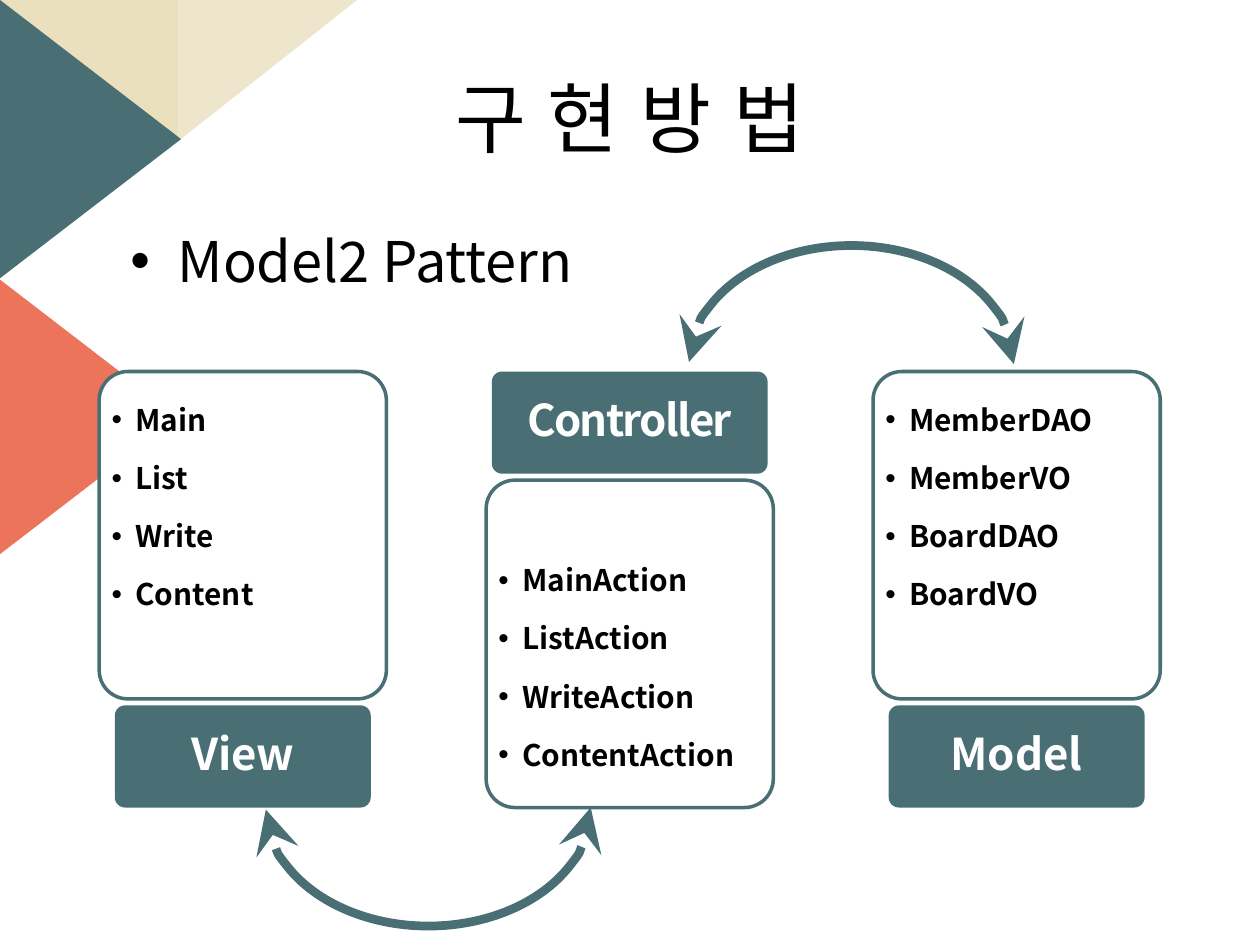
import pptx
import pptx.util
import pptx.dml.color
import pptx.enum.shapes
import pptx.enum.text
import pptx.oxml.ns
from lxml import etree

Cm = pptx.util.Cm
Pt = pptx.util.Pt
RGBColor = pptx.dml.color.RGBColor
SHAPE = pptx.enum.shapes.MSO_SHAPE
ALIGN = pptx.enum.text.PP_ALIGN
ANCHOR = pptx.enum.text.MSO_ANCHOR
qn = pptx.oxml.ns.qn

FONT = "Noto Sans CJK KR"
TEAL = RGBColor(0x49, 0x6F, 0x74)
CORAL = RGBColor(0xEC, 0x74, 0x5B)
SAND = RGBColor(0xEA, 0xE0, 0xBE)
PALE_SAND = RGBColor(0xEE, 0xE6, 0xCC)
WHITE = RGBColor(0xFF, 0xFF, 0xFF)
BLACK = RGBColor(0, 0, 0)

CARD_WIDTH, CARD_HEIGHT = 5.79, 6.6
LABEL_HEIGHT, LABEL_GAP = 2.06, 0.13
COLUMN_LEFT, COLUMN_TOP, COLUMN_STEP = 2, 7.49, 7.8


def add_panel(slide, kind, left, top, width, height, fill=None, line=None, line_width=0):
    panel = slide.shapes.add_shape(kind, Cm(left), Cm(top), Cm(width), Cm(height))
    panel.shadow.inherit = False
    if fill is None:
        panel.fill.background()
    else:
        panel.fill.solid()
        panel.fill.fore_color.rgb = fill
    if line is None:
        panel.line.fill.background()
    else:
        panel.line.color.rgb = line
        panel.line.width = Pt(line_width)
    return panel


def add_frame(slide, left, top, width, height, margin=None):
    frame = slide.shapes.add_textbox(Cm(left), Cm(top), Cm(width), Cm(height)).text_frame
    frame.word_wrap = True
    if margin is not None:
        frame.margin_left = frame.margin_right = Cm(margin)
        frame.margin_top = frame.margin_bottom = Cm(margin)
    return frame


def write(paragraph, text, size, color, bold=False, tracking=None):
    paragraph.text = text
    font = paragraph.font
    font.name, font.size, font.bold = FONT, Pt(size), bold
    font.color.rgb = color
    properties = paragraph._p.pPr.find(qn("a:defRPr"))
    east_asian = etree.Element(qn("a:ea"), typeface=FONT)
    properties.find(qn("a:latin")).addnext(east_asian)
    if tracking is not None:
        paragraph.runs[0].font._element.set("spc", str(tracking))


def add_bullet(paragraph, indent):
    properties = paragraph._p.get_or_add_pPr()
    properties.set("marL", str(Cm(indent)))
    properties.set("indent", str(-Cm(indent)))
    defaults = properties.find(qn("a:defRPr"))
    defaults.addprevious(etree.Element(qn("a:buFont"), typeface="Arial"))
    defaults.addprevious(etree.Element(qn("a:buChar"), char="•"))


def add_corner_decoration(slide, width, height):
    left_half = add_panel(slide, SHAPE.RIGHT_TRIANGLE, 0, 0, width, height, SAND)
    left_half.rotation = 180
    right_half = add_panel(slide, SHAPE.RIGHT_TRIANGLE, width, 0, width, height, PALE_SAND)
    right_half.rotation = 180
    right_half._element.spPr.xfrm.set("flipH", "1")
    base, depth = 5.61, 3.65
    for left, top, color in ((0, 0, TEAL), (-0.05, 5.6, CORAL)):
        wedge = add_panel(slide, SHAPE.ISOSCELES_TRIANGLE, left + (depth - base) / 2,
                          top + (base - depth) / 2, base, depth, color)
        wedge.rotation = 90


def add_title(slide, left, top, width, height):
    frame = add_frame(slide, left, top, width, height)
    frame.vertical_anchor = ANCHOR.MIDDLE
    title = frame.paragraphs[0]
    write(title, "구 현 방 법", 44, BLACK, tracking=130)
    title.alignment = ALIGN.CENTER


def add_pattern_heading(slide, left, top, width, height):
    heading = add_frame(slide, left, top, width, height).paragraphs[0]
    write(heading, "Model2 Pattern", 32, BLACK)
    add_bullet(heading, 0.95)


def add_component(slide, left, top, name, members, label_width, label_first=False):
    card_top, label_top = top, top + CARD_HEIGHT + LABEL_GAP
    list_offset = 0.15
    if label_first:
        card_top, label_top = top + LABEL_HEIGHT + LABEL_GAP, top
        list_offset = 1.19

    card = add_panel(slide, SHAPE.ROUNDED_RECTANGLE, left, card_top,
                     CARD_WIDTH, CARD_HEIGHT, WHITE, TEAL, 2)
    card.adjustments[0] = 0.1

    frame = add_frame(slide, left + 0.15, card_top + list_offset,
                      CARD_WIDTH - 0.3, 4.88, margin=0.1)
    for index, member in enumerate(members):
        entry = frame.add_paragraph() if index else frame.paragraphs[0]
        write(entry, member, 17, BLACK, bold=True)
        entry.line_spacing = 1.5
        entry.space_after = Pt(2.6)
        add_bullet(entry, 0.48)

    label = add_panel(slide, SHAPE.ROUNDED_RECTANGLE, left + (CARD_WIDTH - label_width) / 2,
                      label_top, label_width, LABEL_HEIGHT, TEAL)
    label.adjustments[0] = 0.1
    label.text_frame.vertical_anchor = ANCHOR.MIDDLE
    caption = label.text_frame.paragraphs[0]
    write(caption, name, 25, WHITE, bold=True, tracking=-100 if label_first else None)
    caption.alignment = ALIGN.CENTER
    caption.line_spacing = 0.9


def add_exchange_arc(slide, left, top, width, height, below=False):
    arc = add_panel(slide, SHAPE.ARC, left, top, width, height, line=TEAL, line_width=5)
    arc.adjustments[0] = 108.45
    arc.adjustments[1] = 0
    if below:
        arc._element.spPr.xfrm.set("flipV", "1")
    for end in ("a:headEnd", "a:tailEnd"):
        etree.SubElement(arc.line._get_or_add_ln(), qn(end), type="stealth", w="lg", len="lg")


def main():
    presentation = pptx.Presentation()
    presentation.slide_width, presentation.slide_height = Cm(25.4), Cm(19.05)
    slide = presentation.slides.add_slide(presentation.slide_layouts[6])

    add_corner_decoration(slide, 3.6, 2.84)
    add_title(slide, 1.27, 0.76, 22.86, 3.18)
    components = (
        ("View", ("Main", "List", "Write", "Content"), 5.16, False),
        ("Controller", ("MainAction", "ListAction", "WriteAction", "ContentAction"), 5.56, True),
        ("Model", ("MemberDAO", "MemberVO", "BoardDAO", "BoardVO"), 5.16, False),
    )
    for column, component in enumerate(components):
        add_component(slide, COLUMN_LEFT + column * COLUMN_STEP, COLUMN_TOP, *component)
    add_exchange_arc(slide, 13.89, 4.95, 6.55, 4.78)
    add_exchange_arc(slide, 5.36, 13.89, 6.55, 4.78, below=True)
    add_pattern_heading(slide, 2.38, 4.45, 21.74, 12.57)

    presentation.save("out.pptx")


if __name__ == "__main__":
    main()
